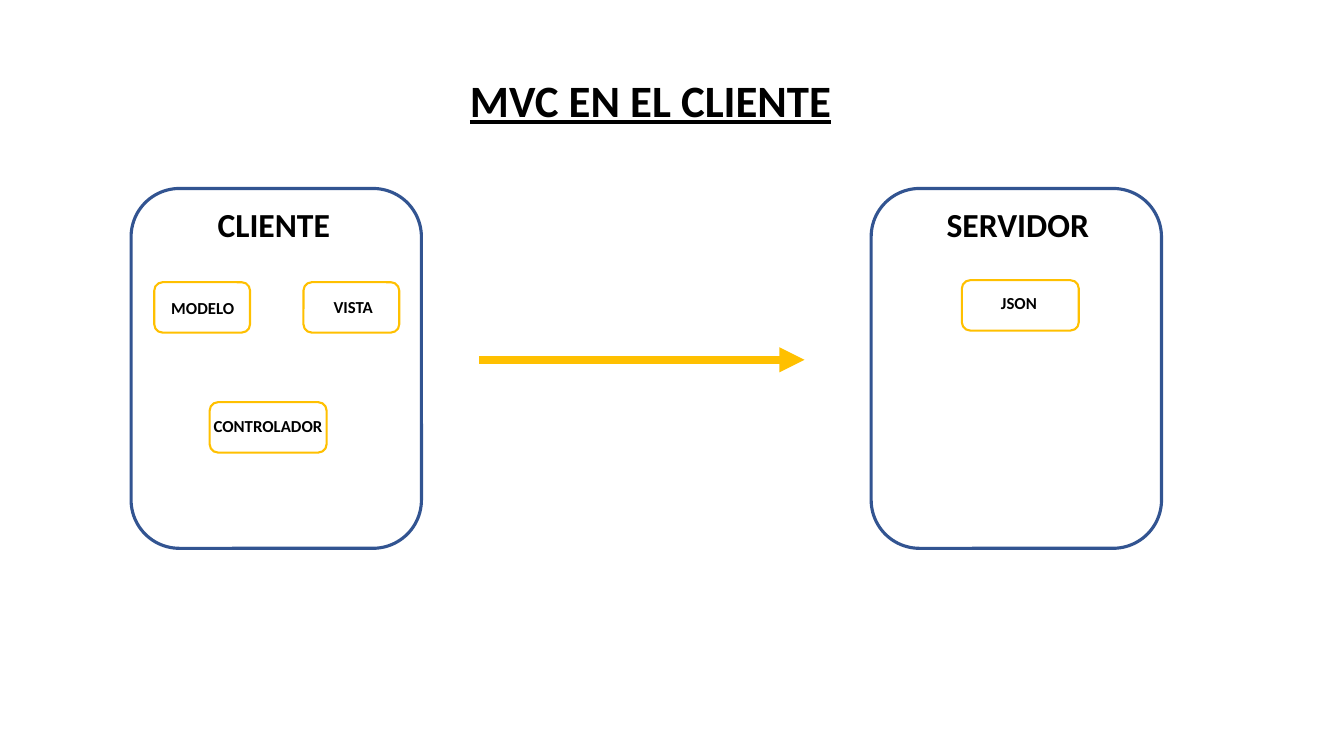
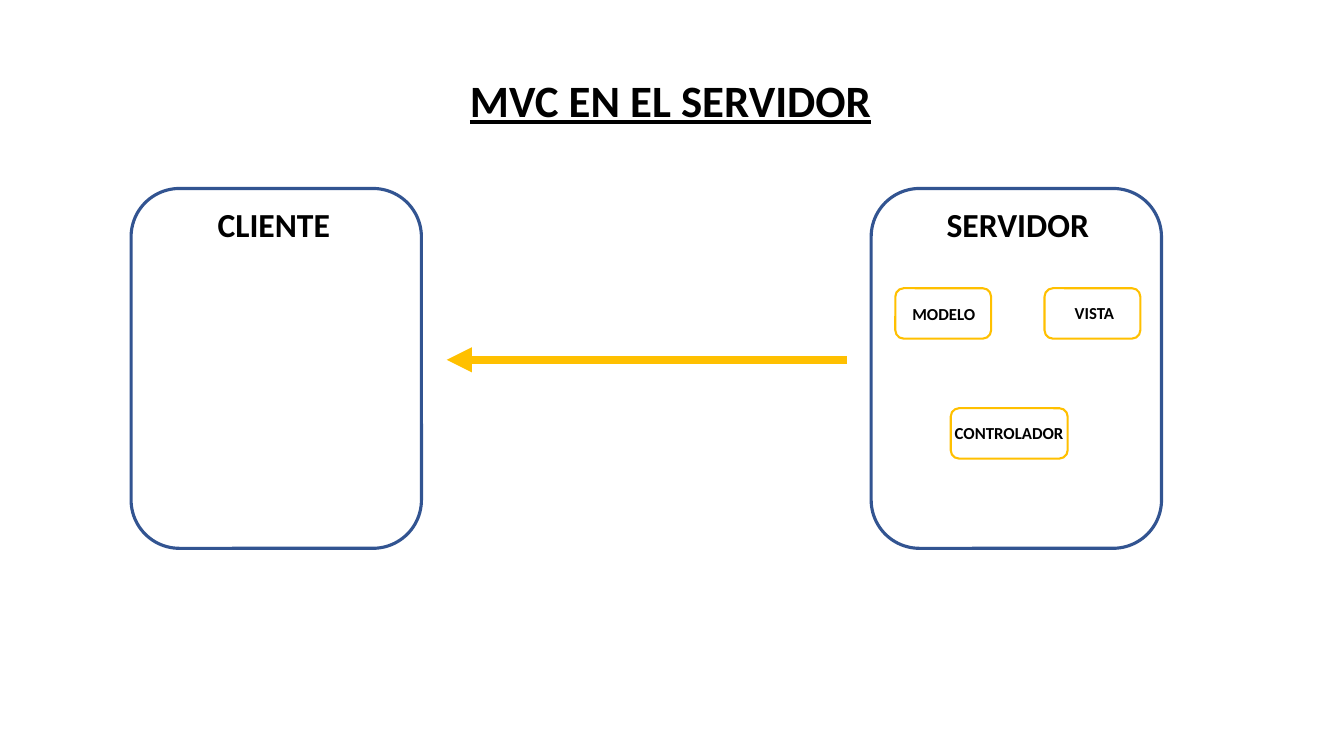
from lxml import etree
from pptx import Presentation
from pptx.dml.color import RGBColor
from pptx.enum.shapes import MSO_CONNECTOR, MSO_SHAPE
from pptx.enum.text import MSO_ANCHOR, MSO_AUTO_SIZE, PP_ALIGN
from pptx.oxml.ns import qn
from pptx.util import Inches, Pt

ROUNDED = MSO_SHAPE.ROUNDED_RECTANGLE
STRAIGHT = MSO_CONNECTOR.STRAIGHT
LEFT, TOP = PP_ALIGN.LEFT, MSO_ANCHOR.TOP
FIT_SHAPE = MSO_AUTO_SIZE.SHAPE_TO_FIT_TEXT

FONT = "Calibri"
COLORS = {"text": "000000", "machine": "325491", "accent": "FFC000"}
TITLE_ONLY = 5
ARROW_Y = 3.57
COMPONENT_HEIGHT = 0.5
LABEL_HEIGHT = 0.3

# Name, left of the frame, then left and width of the heading
MACHINES = [("CLIENTE", 1.3, 2.06, 1.5), ("SERVIDOR", 8.64, 9.29, 1.72)]

# Name, box (x, y, width) and label (x, y, width), relative to a group's corner
MVC = [
    ("MODELO", (0, 0, 0.95), (0.07, 0.1, 0.95)),
    ("CONTROLADOR", (0.55, 1.19, 1.16), (0.49, 1.28, 1.32)),
    ("VISTA", (1.48, 0, 0.95), (1.68, 0.09, 0.95)),
]
JSON = [("JSON", (0, 0, 1.16), (0.29, 0.08, 0.63))]


def color(name):
    """Return a palette colour."""
    return RGBColor.from_string(COLORS[name])


def write_text(shape, text, size, underline=False):
    """Fill a shape with one bold, left-aligned paragraph."""
    frame = shape.text_frame
    frame.text = text
    frame.word_wrap = True
    frame.auto_size = FIT_SHAPE
    frame.vertical_anchor = TOP
    frame.margin_left = frame.margin_right = Inches(0.1)
    frame.margin_top = frame.margin_bottom = Inches(0.05)
    paragraph = frame.paragraphs[0]
    paragraph.alignment = LEFT
    paragraph.line_spacing = 1.0
    paragraph.space_before = Pt(0)
    font = paragraph.runs[0].font
    font.name, font.size, font.bold = FONT, Pt(size), True
    font.underline = underline
    font.color.rgb = color("text")


def add_label(slide, text, left, top, width, height, size):
    """Add a text box."""
    box = slide.shapes.add_textbox(*map(Inches, (left, top, width, height)))
    write_text(box, text, size)


def add_frame(slide, left, top, width, height, line_color, line_width):
    """Add an unfilled rounded rectangle."""
    shape = slide.shapes.add_shape(
        ROUNDED, *map(Inches, (left, top, width, height)))
    shape.shadow.inherit = False
    shape.fill.background()
    shape.line.color.rgb = color(line_color)
    shape.line.width = Pt(line_width)


def add_machines(slide):
    """Add the client and server frames with their headings."""
    for name, left, heading_left, heading_width in MACHINES:
        add_frame(slide, left, 1.87, 2.88, 3.57, "machine", 2.25)
        add_label(slide, name, heading_left, 1.97, heading_width, 0.5, 24)


def add_components(slide, components, left, top):
    """Add a group of labelled component boxes at the given corner."""
    for name, (x, y, width), (label_x, label_y, label_width) in components:
        add_frame(slide, left + x, top + y, width, COMPONENT_HEIGHT,
                  "accent", 1.5)
        add_label(slide, name, left + label_x, top + label_y, label_width,
                  LABEL_HEIGHT, 12)


def add_arrow(slide, start, end):
    """Add a horizontal arrow between the two machines."""
    arrow = slide.shapes.add_connector(
        STRAIGHT, *map(Inches, (start, ARROW_Y, end, ARROW_Y)))
    arrow.line.color.rgb = color("accent")
    arrow.line.width = Pt(6)
    etree.SubElement(arrow.line._get_or_add_ln(), qn("a:tailEnd"),
                     type="triangle")
    etree.SubElement(arrow._element.spPr, qn("a:effectLst"))


def add_diagram_slide(presentation, title, title_width, arrow, groups):
    """Add a slide with its title, machines, component groups and arrow."""
    layout = presentation.slide_layouts[TITLE_ONLY]
    slide = presentation.slides.add_slide(layout)
    heading = slide.shapes.title
    heading.left, heading.top = Inches(4.56), Inches(0.67)
    heading.width, heading.height = Inches(title_width), Inches(0.64)
    write_text(heading, title, 32, underline=True)
    add_machines(slide)
    for components, left, top in groups:
        add_components(slide, components, left, top)
    add_arrow(slide, *arrow)


def main():
    """Build the presentation."""
    presentation = Presentation()
    presentation.slide_width = Inches(13.33)
    presentation.slide_height = Inches(7.5)
    add_diagram_slide(presentation, "MVC EN EL CLIENTE", 3.94, (4.75, 7.98),
                      [(MVC, 1.53, 2.8), (JSON, 9.54, 2.78)])
    add_diagram_slide(presentation, "MVC EN EL SERVIDOR", 4.24, (8.4, 4.43),
                      [(MVC, 8.88, 2.86)])
    presentation.save("out.pptx")


main()
